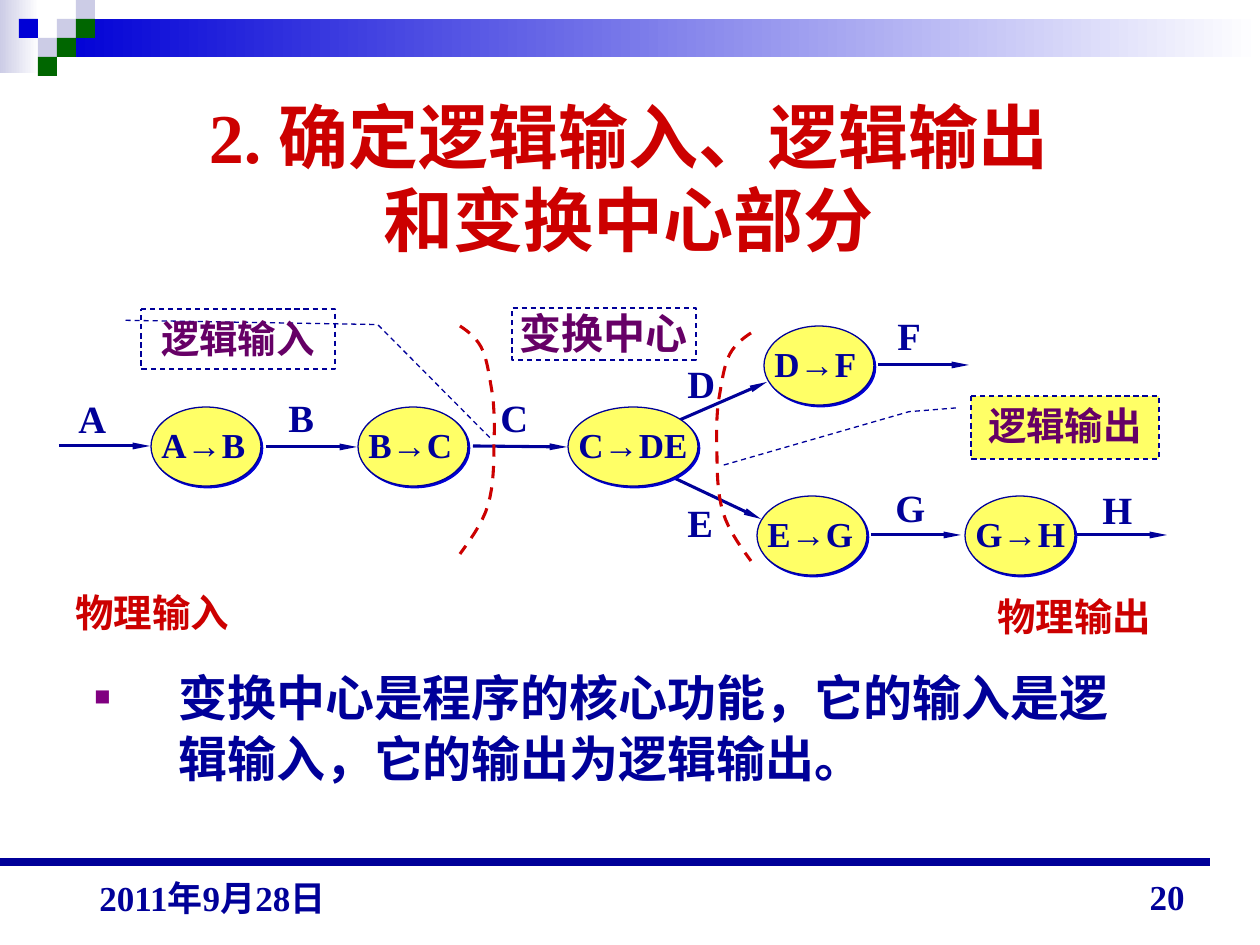
from lxml import etree
from pptx import Presentation, util as u
from pptx.dml.color import RGBColor
from pptx.enum import dml, shapes, text
from pptx.oxml import parse_xml
from pptx.oxml.ns import nsdecls, qn

NAVY = RGBColor(0x00, 0x00, 0x99)
BLUE = RGBColor(0x00, 0x00, 0xD6)
RED = RGBColor(0xCC, 0x00, 0x00)
PLUM = RGBColor(0x66, 0x00, 0x66)
YELLOW = RGBColor(0xFF, 0xFF, 0x66)
LILAC = RGBColor(0xCC, 0xCC, 0xE6)
GREEN = RGBColor(0x00, 0x66, 0x00)
WHITE = RGBColor(0xFF, 0xFF, 0xFF)
SERIF, SANS = "Times New Roman", "Arial"

# Content; all places and lengths are px, 126 to the inch
TITLE = ["2. 确定逻辑输入、逻辑输出", "和变换中心部分"]
BODY = "变换中心是程序的核心功能，它的输入是逻辑输入，它的输出为逻辑输出。"
BANDS = [((0, 0, 39, 73), LILAC), ((57, 19, 1203, 38), BLUE)]
TILE = 19
TILES = [(3, 1, LILAC), (4, 0, LILAC), (4, 1, GREEN), (2, 2, LILAC),
         (1, 1, BLUE), (3, 2, GREEN), (2, 3, GREEN)]  # column, row
NODES = [  # from, to, left, top, width, label width
    ("A", "B", 151, 407, 110, 112), ("B", "C", 358, 407, 110, 112),
    ("E", "G", 757, 496, 110, 114), ("G", "H", 965, 496, 110, 118),
    ("D", "F", 764, 326, 110, 112), ("C", "DE", 568, 407, 130, 137)]
FLOWS = [(59, 446, 150, 446), (266, 447, 357, 447), (473, 446, 567, 447),
         (871, 535, 961, 535), (1076, 535, 1167, 535), (878, 365, 969, 365),
         (675, 422, 767, 382), (670, 476, 761, 519)]
LABELS = [  # text, left, top, width, colour
    ("A", 66, 389, 53, NAVY), ("B", 276, 388, 50, NAVY),
    ("C", 488, 388, 53, NAVY), ("D", 675, 354, 53, NAVY),
    ("E", 675, 493, 50, NAVY), ("F", 885, 306, 48, NAVY),
    ("G", 883, 478, 55, NAVY), ("H", 1090, 480, 55, NAVY),
    ("物理输入", 63, 583, 179, RED), ("物理输出", 985, 587, 179, RED)]
CALLOUTS = [  # text, box, fill, adjustments
    ("逻辑输入", (141, 309, 194, 60), None,
     (0.19, -0.08, 0.26, 1.22, 2.15, 1.8)),
    ("逻辑输出", (971, 396, 188, 63), YELLOW,
     (0.19, -0.08, 0.25, -0.33, 1.11, -1.33))]
BOUNDARY = [  # Bezier points, offset from the upper end
    (0, 0), (9, 6), (18, 13), (23, 25), (28, 37), (30, 55), (33, 71), (34, 86),
    (35, 97), (34, 115), (34, 134), (34, 160), (28, 179), (23, 198), (5, 221),
    (0, 228)]
BOUNDARIES = [(460, 326, 1), (751, 333, -1)]  # left, top, direction
FOOTERS = [("2011年9月28日", (87, 859, 294, 66), text.PP_ALIGN.LEFT),
           ("20", (903, 861, 294, 63), text.PP_ALIGN.RIGHT)]


def px(value):
    return u.Emu(round(value * 914400 / 126))


def place(*values):
    return [px(value) for value in values]


def add_span(para, words, size, color, font=SERIF):
    span = para.add_run()
    span.text = words
    span.font.name, span.font.size = font, u.Pt(size)
    span.font.bold = True
    span.font.color.rgb = color


def add_label(bounds, parts, size, color, align=None, fit=False):
    frame = page.shapes.add_textbox(*place(*bounds)).text_frame
    frame.word_wrap = not fit
    if fit:
        frame.auto_size = text.MSO_AUTO_SIZE.SHAPE_TO_FIT_TEXT
    para = frame.paragraphs[0]
    para.alignment = align
    for words, font in parts:
        add_span(para, words, size, color, font)
    return frame


def style(shape, fill=None, line=None, width=0.75, dashed=False):
    shape.shadow.inherit = False
    if fill is None:
        shape.fill.background()
    else:
        shape.fill.solid()
        shape.fill.fore_color.rgb = fill
    if line is None:
        shape.line.fill.background()
    else:
        shape.line.color.rgb, shape.line.width = line, u.Pt(width)
    if dashed:
        shape.line.dash_style = dml.MSO_LINE.DASH


def add_shape(kind, bounds, **look):
    shape = page.shapes.add_shape(kind, *place(*bounds))
    style(shape, **look)
    return shape


def add_line(ends, width, arrow=False):
    line = page.shapes.add_connector(shapes.MSO_CONNECTOR.STRAIGHT, *place(*ends))
    line.line.color.rgb, line.line.width = NAVY, u.Pt(width)
    if arrow:
        etree.SubElement(line.line._get_or_add_ln(), qn("a:tailEnd"),
                         type="triangle", w="sm", len="lg")
    etree.SubElement(line._element.spPr, qn("a:effectLst"))


def fill_caption(shape, words, size):
    frame = shape.text_frame
    frame.vertical_anchor = text.MSO_ANCHOR.TOP
    frame.paragraphs[0].alignment = text.PP_ALIGN.CENTER
    add_span(frame.paragraphs[0], words, size, PLUM)
    return frame


def bezier(points, steps=8):
    for i in range(0, len(points) - 1, 3):
        for step in range(1, steps + 1):
            t = step / steps
            weights = ((1 - t) ** 3, 3 * t * (1 - t) ** 2, 3 * t * t * (1 - t), t ** 3)
            yield tuple(sum(w * p[axis] for w, p in zip(weights, points[i:i + 4]))
                        for axis in (0, 1))


deck = Presentation()
deck.slide_width, deck.slide_height = px(1260), px(945)
page = deck.slides.add_slide(deck.slide_layouts[5])
RECT = shapes.MSO_SHAPE.RECTANGLE

# Header bands, tiles and footer rule
for bounds, color in BANDS:
    band = add_shape(RECT, bounds)
    band.fill.gradient()
    band.fill.gradient_angle = 180
    for stop, shade in zip(band.fill.gradient_stops, (WHITE, color)):
        stop.color.rgb = shade
for column, row, color in TILES:
    add_shape(RECT, (column * TILE, row * TILE, TILE, TILE), fill=color)
add_line((0, 862, 1210, 862), 4.5)

# Title
title = page.shapes.title
title.left, title.top, title.width, title.height = place(93, 87, 1071, 180)
title.text_frame.auto_size = text.MSO_AUTO_SIZE.NONE
title.text_frame.vertical_anchor = text.MSO_ANCHOR.MIDDLE
heading = title.text_frame.paragraphs[0]
heading.alignment = text.PP_ALIGN.CENTER
for number, words in enumerate(TITLE):
    if number:
        heading.add_line_break()
    add_span(heading, words, 40, RED)

# Bulleted statement
para = add_label((82, 658, 1071, 158), [(BODY, SERIF)], 28, NAVY).paragraphs[0]
props = para._p.get_or_add_pPr()
props.set("marL", str(px(84)))
props.set("indent", str(-px(84)))
for bullet in ('buClr {}><a:srgbClr val="800080"/></a:buClr>', 'buSzPct {} val="55000"/>',
               'buFont {} typeface="Arial"/>', 'buChar {} char="■"/>'):
    props.append(parse_xml("<a:" + bullet.format(nsdecls("a"))))
para.line_spacing = 1.05

# Data flows and processes
for ends in FLOWS:
    add_line(ends, 1.75, arrow=True)
for source, target, left, top, width, label_width in NODES:
    node = add_shape(shapes.MSO_SHAPE.OVAL, (left, top, width, 79), fill=YELLOW, line=NAVY)
    effects = node._element.spPr.find(qn("a:effectLst"))
    shadow = etree.SubElement(effects, qn("a:outerShdw"), dist=str(u.Pt(1.4)),
                              dir="2700000", algn="ctr", rotWithShape="0")
    etree.SubElement(shadow, qn("a:srgbClr"), val=str(BLUE))
    add_label((left - 2, top + 10, label_width, 55),
              [(source, SERIF), ("→", SANS), (target, SERIF)], 20, NAVY, fit=True)
for words, left, top, width, color in LABELS:
    add_label((left, top, width, 59), [(words, SERIF)], 22, color, fit=True)

# Boundaries of the transform centre
for left, top, side in BOUNDARIES:
    points = [(px(left + side * x), px(top + y)) for x, y in bezier(BOUNDARY)]
    builder = page.shapes.build_freeform(px(left), px(top))
    builder.add_line_segments(points, close=False)
    style(builder.convert_to_shape(), line=RED, width=1.75, dashed=True)

# Captions of the three regions
center = add_shape(RECT, (512, 308, 184, 52), line=NAVY, dashed=True)
frame = fill_caption(center, "变换中心", 24)
frame.margin_left = frame.margin_right = frame.margin_top = frame.margin_bottom = 0
for words, bounds, fill, adjustments in CALLOUTS:
    callout = add_shape(shapes.MSO_SHAPE.LINE_CALLOUT_2, bounds,
                        fill=fill, line=NAVY, dashed=True)
    for index, value in enumerate(adjustments):
        callout.adjustments[index] = value
    fill_caption(callout, words, 22)

# Date and page number
for words, bounds, align in FOOTERS:
    footer = add_label(bounds, [(words, SERIF)], 20, NAVY, align)
    footer.vertical_anchor = text.MSO_ANCHOR.BOTTOM

deck.save("out.pptx")
